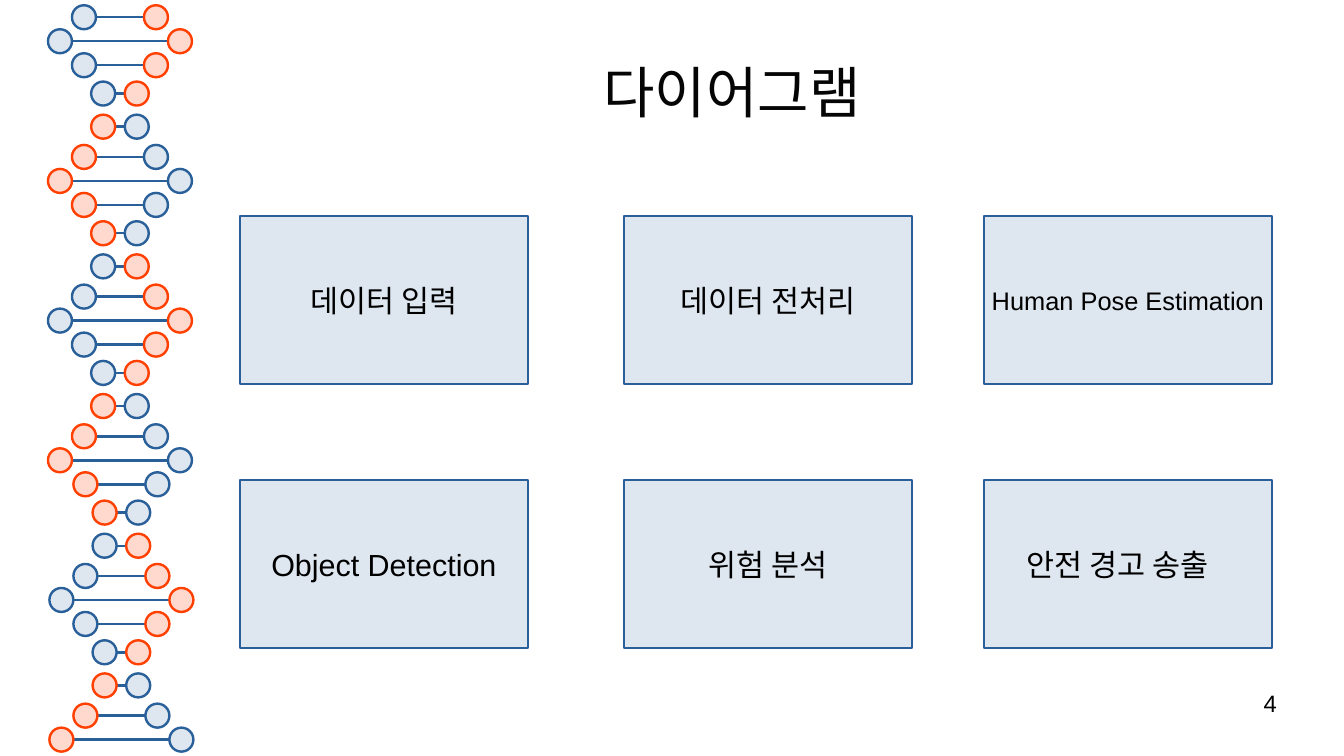
from dataclasses import dataclass

from lxml import etree
from pptx import Presentation
from pptx.dml.color import RGBColor
from pptx.enum import shapes, text
from pptx.oxml import ns
from pptx.util import Cm, Pt

BLUE = RGBColor(0x2A, 0x60, 0x99)
PALE_BLUE = RGBColor(0xDE, 0xE6, 0xEF)
ORANGE = RGBColor(0xFF, 0x40, 0x00)
PALE_ORANGE = RGBColor(0xFF, 0xD8, 0xCE)
INK = RGBColor(0x05, 0x05, 0x05)
BLACK = RGBColor(0, 0, 0)
WHITE = RGBColor(0xFF, 0xFF, 0xFF)

LINE_WIDTH = Pt(1.42)
BEAD = 0.5
HALF_TURN = 2.91
RUNG_COUNT = 27
RUNG_OFFSETS = (0, 0.5, 1.0, 1.59, 2.28)
LEFT_BEADS = (1.5, 1.0, 1.5, 1.9, 1.9)
RIGHT_BEADS = (3.0, 3.5, 3.0, 2.6, 2.6)

STEP_COLUMNS = (5.0, 13.0, 20.5)
STEP_ROWS = (4.5, 10.0)
STEP_SIZE = (6.0, 3.5)


@dataclass
class Rung:
    left: float
    right: float
    y: float
    blue_left: bool


@dataclass
class Step:
    label: str
    size: float = 18
    right_inset: float = 0.25


STEPS = (
    Step("데이터 입력"),
    Step("데이터 전처리"),
    Step("Human Pose Estimation", size=15),
    Step("Object Detection"),
    Step("위험 분석"),
    Step("안전 경고 송출", right_inset=0.67),
)


def make_rung(i: int) -> Rung:
    turn, place = divmod(i, 5)
    drift = 0.03 if i >= 17 else 0
    return Rung(
        LEFT_BEADS[place] + drift,
        RIGHT_BEADS[place] + drift,
        0.36 + turn * HALF_TURN + RUNG_OFFSETS[place],
        (i + 1) // 5 % 2 == 0,
    )


def style_shape(sp, fill: RGBColor, line: RGBColor) -> None:
    sp.shadow.inherit = False
    sp.fill.solid()
    sp.fill.fore_color.rgb = fill
    sp.line.color.rgb = line
    sp.line.width = LINE_WIDTH


def write_text(tf, words: str, size: float, font: str, color: RGBColor,
               align: text.PP_ALIGN) -> None:
    p = tf.paragraphs[0]
    p.alignment = align
    r = p.add_run()
    r.text = words
    r.font.size = Pt(size)
    r.font.name = font
    r.font.color.rgb = color


def add_rung_line(s, rung: Rung) -> None:
    y = Cm(rung.y)
    line = s.shapes.add_connector(
        shapes.MSO_CONNECTOR.STRAIGHT, Cm(rung.left + BEAD), y, Cm(rung.right), y)
    line.line.color.rgb = BLUE
    line.line.width = LINE_WIDTH
    etree.SubElement(line._element.spPr, ns.qn("a:effectLst"))


def add_bead(s, left: float, y: float, blue: bool) -> None:
    sp = s.shapes.add_shape(
        shapes.MSO_SHAPE.OVAL, Cm(left), Cm(y - BEAD / 2), Cm(BEAD), Cm(BEAD))
    style_shape(sp, *((PALE_BLUE, BLUE) if blue else (PALE_ORANGE, ORANGE)))


def add_helix(s) -> None:
    rungs = [make_rung(i) for i in range(RUNG_COUNT)]
    for rung in rungs:
        add_rung_line(s, rung)
    for rung in rungs:
        add_bead(s, rung.left, rung.y, rung.blue_left)
        add_bead(s, rung.right, rung.y, not rung.blue_left)


def add_step(s, step: Step, left: float, top: float) -> None:
    width, height = STEP_SIZE
    sp = s.shapes.add_shape(
        shapes.MSO_SHAPE.RECTANGLE, Cm(left), Cm(top), Cm(width), Cm(height))
    style_shape(sp, PALE_BLUE, BLUE)
    tf = sp.text_frame
    tf.word_wrap = False
    tf.vertical_anchor = text.MSO_ANCHOR.MIDDLE
    tf.margin_right = Cm(step.right_inset)
    write_text(tf, step.label, step.size, "Arial", BLACK, text.PP_ALIGN.CENTER)


def add_text_box(s, left: float, top: float, width: float, height: float):
    tf = s.shapes.add_textbox(Cm(left), Cm(top), Cm(width), Cm(height)).text_frame
    tf.word_wrap = True
    tf.margin_left = tf.margin_top = tf.margin_right = tf.margin_bottom = 0
    return tf


def main() -> None:
    prs = Presentation()
    prs.slide_width = Cm(28)
    prs.slide_height = Cm(15.75)
    s = prs.slides.add_slide(prs.slide_layouts[6])
    s.background.fill.solid()
    s.background.fill.fore_color.rgb = WHITE

    add_helix(s)
    for i, step in enumerate(STEPS):
        row, column = divmod(i, len(STEP_COLUMNS))
        add_step(s, step, STEP_COLUMNS[column], STEP_ROWS[row])

    title = add_text_box(s, 4.5, 0.6, 22.5, 2.6)
    title.vertical_anchor = text.MSO_ANCHOR.MIDDLE
    title.margin_right = Cm(1)
    write_text(title, "다이어그램", 33, "Times New Roman", INK, text.PP_ALIGN.CENTER)

    number = add_text_box(s, 20.07, 14.35, 6.53, 1.09)
    write_text(number, "4", 14, "Arial", BLACK, text.PP_ALIGN.RIGHT)

    prs.save("out.pptx")


if __name__ == "__main__":
    main()
